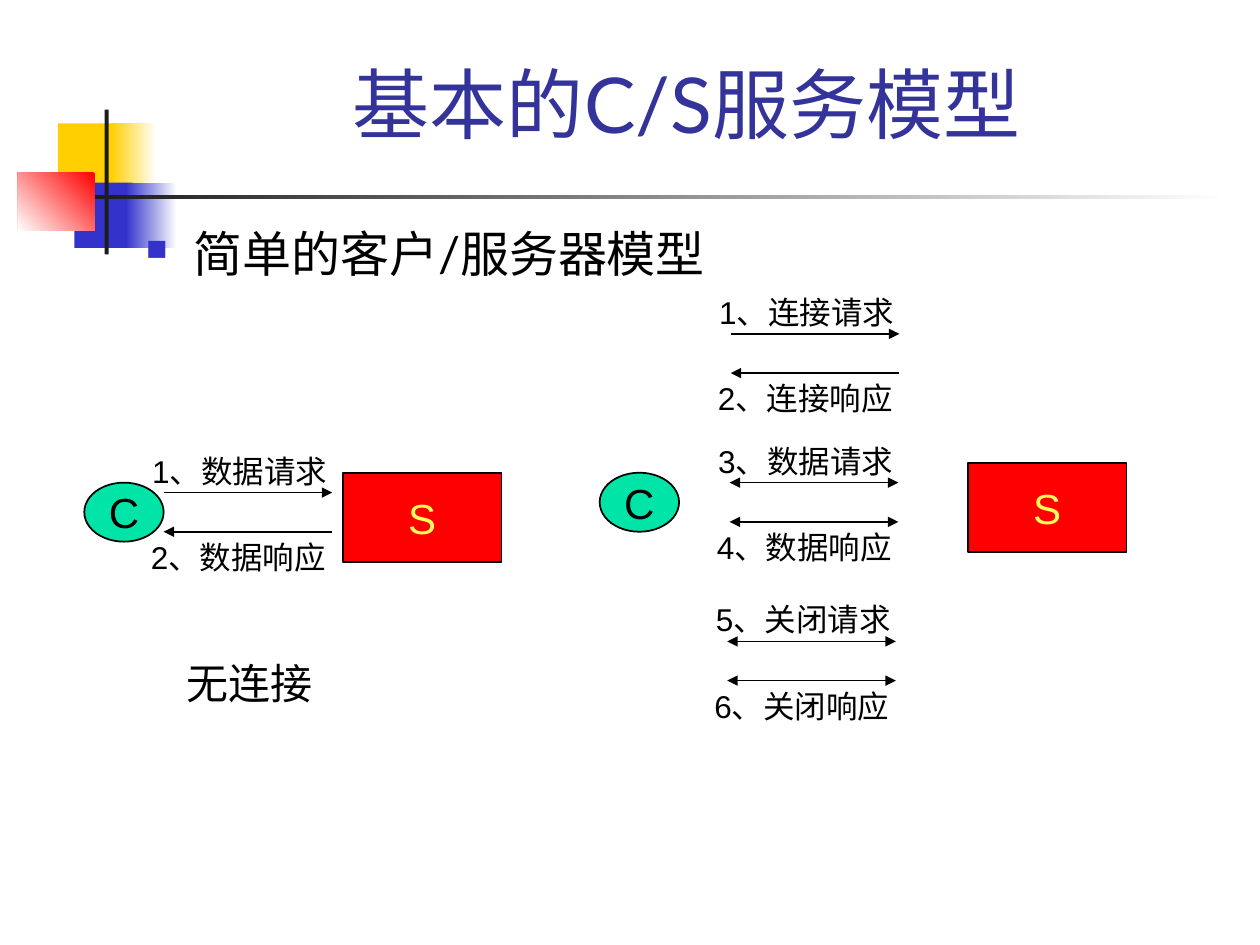
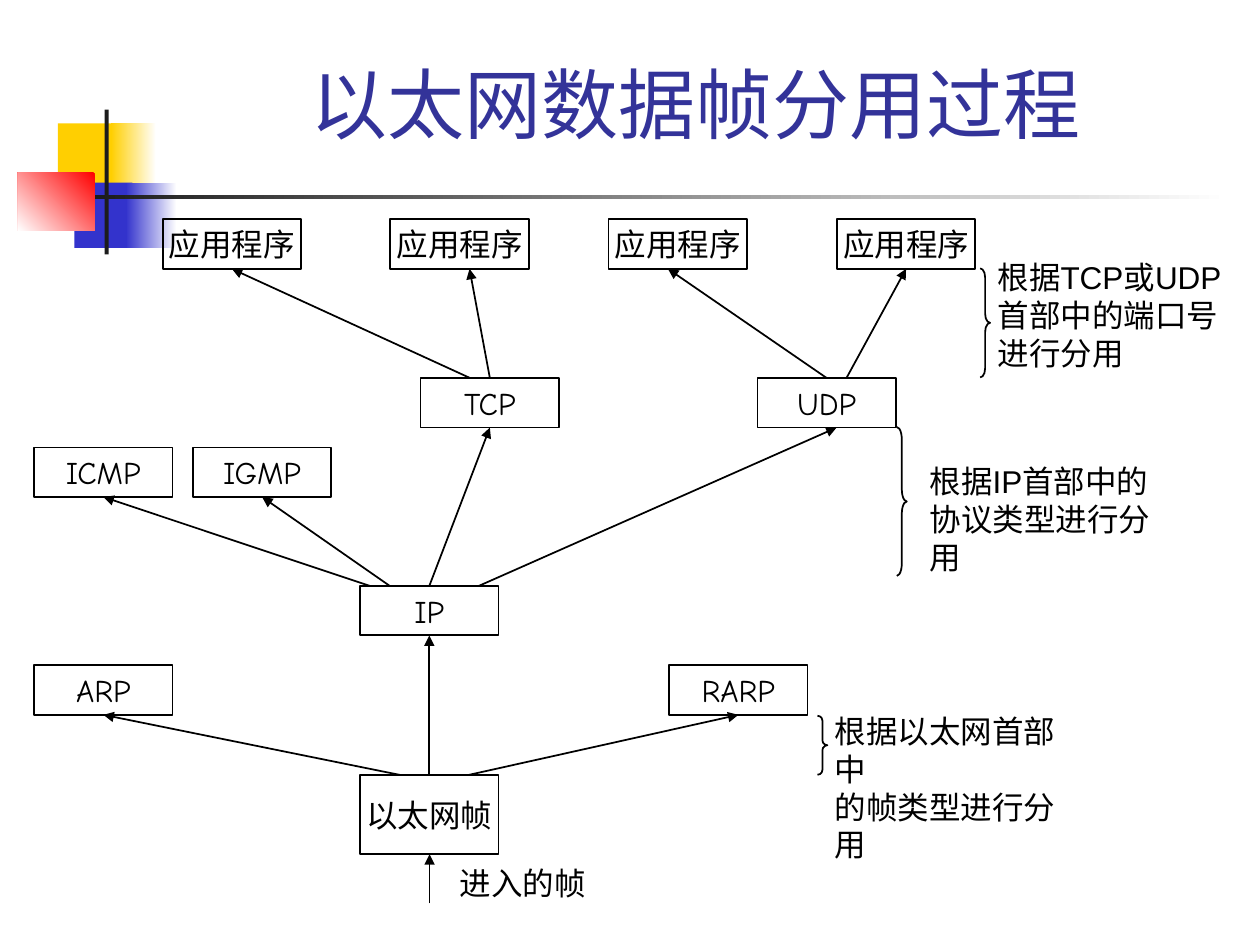
from lxml import etree
from pptx import Presentation
from pptx.dml.color import RGBColor
from pptx.enum.shapes import MSO_CONNECTOR, MSO_SHAPE
from pptx.enum.text import MSO_ANCHOR, MSO_AUTO_SIZE, PP_ALIGN
from pptx.oxml.ns import qn
from pptx.util import Cm, Pt

RECT, OVAL, BRACE = MSO_SHAPE.RECTANGLE, MSO_SHAPE.OVAL, MSO_SHAPE.RIGHT_BRACE
STRAIGHT = MSO_CONNECTOR.STRAIGHT
LEFT, CENTER = PP_ALIGN.LEFT, PP_ALIGN.CENTER
TOP, MIDDLE, BOTTOM = MSO_ANCHOR.TOP, MSO_ANCHOR.MIDDLE, MSO_ANCHOR.BOTTOM
NO_FIT, GROW = MSO_AUTO_SIZE.NONE, MSO_AUTO_SIZE.SHAPE_TO_FIT_TEXT

BLACK, WHITE, INK = "000000", "FFFFFF", "1C1C1C"
GOLD, BLUE, RED = "FFCF01", "3333CC", "FF0000"
TITLE_BLUE, MINT, LEMON = "333399", "00E4A8", "FEFF5E"
BODY_FONT, TITLE_FONT, NODE_FONT = "Arial", "Lato", "Comic Neue"
NODE_W, NODE_H = 2.79, 1.0
ARROW_W, ARROW_GAP = 3.4, 0.79


def rgb(color):
    """Turn a hex string into a colour."""
    return RGBColor.from_string(color)


def write(shape, text, size=18, font=BODY_FONT, color=BLACK, align=LEFT,
          anchor=TOP, wrap=False, fit=NO_FIT):
    """Fill a shape with formatted text, one paragraph per line."""
    tf = shape.text_frame
    tf.text = text
    tf.word_wrap, tf.auto_size, tf.vertical_anchor = wrap, fit, anchor
    for p in tf.paragraphs:
        p.alignment = align
        for r in p.runs:
            r.font.size, r.font.name = Pt(size), font
            r.font.color.rgb = rgb(color)
    return tf


def add_text(s, x, y, w, h, text, **fmt):
    """Add a text box."""
    box = s.shapes.add_textbox(Cm(x), Cm(y), Cm(w), Cm(h))
    return write(box, text, **fmt)


def add_box(s, x, y, w, h, kind=RECT, fill=None, line=BLACK):
    """Add a preset shape with a plain fill and a thin line."""
    sp = s.shapes.add_shape(kind, Cm(x), Cm(y), Cm(w), Cm(h))
    sp.shadow.inherit = False
    if fill:
        sp.fill.solid()
        sp.fill.fore_color.rgb = rgb(fill)
    else:
        sp.fill.background()
    if line:
        sp.line.color.rgb = rgb(line)
        sp.line.width = Pt(1)
    else:
        sp.line.fill.background()
    return sp


def add_fade(s, x, y, w, h, start, end, angle=180):
    """Add a borderless rectangle with a two-colour gradient."""
    sp = add_box(s, x, y, w, h, line=None)
    sp.fill.gradient()
    sp.fill.gradient_angle = angle
    for stop, color, position in zip(sp.fill.gradient_stops, (start, end), (0, 1)):
        stop.color.rgb = rgb(color)
        stop.position = position


def add_arrow(s, x1, y1, x2, y2, both=False):
    """Add a line with an arrowhead at its end, or at both ends."""
    line = s.shapes.add_connector(STRAIGHT, Cm(x1), Cm(y1), Cm(x2), Cm(y2))
    line.line.color.rgb = rgb(BLACK)
    line.line.width = Pt(1)
    sp_pr = line._element.spPr
    for tag in ("a:headEnd", "a:tailEnd") if both else ("a:tailEnd",):
        etree.SubElement(sp_pr.find(qn("a:ln")), qn(tag), type="triangle")
    etree.SubElement(sp_pr, qn("a:effectLst"))


def add_bullet(p, char, color, percent, indent):
    """Give a paragraph a coloured bullet and a hanging indent."""
    p_pr = p._p.get_or_add_pPr()
    p_pr.set("marL", str(Cm(indent)))
    p_pr.set("indent", str(-Cm(indent)))
    bu_clr = etree.SubElement(p_pr, qn("a:buClr"))
    etree.SubElement(bu_clr, qn("a:srgbClr"), val=color)
    etree.SubElement(p_pr, qn("a:buSzPct"), val=str(percent * 1000))
    etree.SubElement(p_pr, qn("a:buChar"), char=char)


def decorate(s, x, y):
    """Draw the coloured squares and the crossing rules."""
    add_box(s, x + 0.81, y + 0.28, 1.22, 1.32, fill=GOLD, line=None)
    add_fade(s, x + 1.88, y + 0.28, 0.91, 1.32, WHITE, GOLD)
    add_box(s, x + 1.14, y + 1.47, 1.17, 1.32, fill=BLUE, line=None)
    add_fade(s, x + 2.18, y + 1.47, 1.02, 1.32, WHITE, BLUE)
    add_fade(s, x, y + 1.27, 1.55, 1.17, RED, WHITE, angle=225)
    add_box(s, x + 1.75, y, 0.08, 2.92, fill=INK, line=None)
    add_fade(s, x + 1.55, y + 1.73, 22.86, 0.08, WHITE, INK)


def new_slide(prs, title):
    """Add a decorated slide with its title."""
    s = prs.slides.add_slide(prs.slide_layouts[5])
    decorate(s, 0.36, 2.21)
    sp = s.shapes.title
    sp.left, sp.top, sp.width, sp.height = Cm(3.2), Cm(0.58), Cm(21.64), Cm(2.54)
    write(sp, title, size=44, font=TITLE_FONT, color=TITLE_BLUE, align=CENTER,
          anchor=BOTTOM, wrap=True)
    return s


def add_exchange(s, x, y, request, response, both=False):
    """Draw a request arrow above a response arrow, with labels."""
    add_arrow(s, x, y, x + ARROW_W, y, both)
    add_arrow(s, x + ARROW_W, y + ARROW_GAP, x, y + ARROW_GAP, both)
    add_text(s, x - 0.48, y - 0.95, 4.19, 1.02, request, fit=GROW)
    add_text(s, x - 0.51, y + ARROW_GAP, 4.19, 1.02, response, fit=GROW)


def add_model(s, x, y, server_dx, exchanges):
    """Draw a client, a server and the exchanges between them."""
    client = add_box(s, x, y, 1.6, 1.19, OVAL, MINT)
    server = add_box(s, x + server_dx, y - 0.2, 3.2, 1.8, fill=RED)
    for sp, name, color in ((client, "C", BLACK), (server, "S", LEMON)):
        write(sp, name, size=24, color=color, align=CENTER, anchor=MIDDLE)
    for dx, dy, *exchange in exchanges:
        add_exchange(s, x + dx, y + dy, *exchange)


def build_client_server(prs):
    """Build the client/server slide."""
    s = new_slide(prs, "基本的C/S服务模型 ")
    tf = add_text(s, 2.69, 4.52, 21.59, 1.57, "简单的客户/服务器模型",
                  size=28, font=TITLE_FONT, wrap=True)
    p = tf.paragraphs[0]
    p.line_spacing, p.space_before = 0.9, Pt(7)
    add_bullet(p, "■", BLUE, 60, 0.96)
    add_model(s, 1.7, 9.73, 5.21, [(1.6, 0.2, "1、数据请求", "2、数据响应")])
    add_text(s, 3.51, 13.13, 3.05, 1.27, "无连接", size=24, fit=GROW)
    add_model(s, 12.09, 9.53, 7.42, [
        (2.64, -2.8, "1、连接请求", "2、连接响应"),
        (2.62, 0.2, "3、数据请求", "4、数据响应", True),
        (2.57, 3.4, "5、关闭请求", "6、关闭响应", True),
    ])


def add_tree(s, nodes, links):
    """Draw named nodes, then arrows from node tops to node bottoms."""
    for x, y, h, text in nodes.values():
        write(add_box(s, x, y, NODE_W, h), text, font=NODE_FONT,
              align=CENTER, anchor=MIDDLE)
    for start, end, start_dx, end_dx in links:
        x1, y1, _, _ = nodes[start]
        x2, y2, h, _ = nodes[end]
        add_arrow(s, x1 + NODE_W / 2 + start_dx, y1,
                  x2 + NODE_W / 2 + end_dx, y2 + h)


def add_brace_note(s, x, y, h, note_dx, note_dy, lines):
    """Draw a right brace and the note beside it."""
    w = 0.2
    brace = add_box(s, x, y, w, h, BRACE)
    brace.adjustments[0] = h / w / 12
    add_text(s, x + note_dx, y + note_dy, 5.49, 0.25 + 0.76 * len(lines),
             "\n".join(lines), fit=GROW)


def build_demultiplexing(prs):
    """Build the Ethernet frame demultiplexing slide."""
    s = new_slide(prs, "以太网数据帧分用过程")
    nodes = {"frame": (7.26, 15.62, 1.6, "以太网帧")}
    rows = [
        (13.41, {"ARP": 0.69, "RARP": 13.49}),
        (11.81, {"IP": 7.26}),
        (9.02, {"ICMP": 0.69, "IGMP": 3.89}),
        (7.62, {"TCP": 8.48, "UDP": 15.27}),
    ]
    for y, row in rows:
        for name, x in row.items():
            nodes[name] = (x, y, NODE_H, name)
    for i, x in enumerate((3.28, 7.87, 12.27, 16.87), 1):
        nodes[f"app{i}"] = (x, 4.42, NODE_H, "应用程序")
    add_tree(s, nodes, [
        ("frame", "IP", 0, 0), ("frame", "ARP", -0.6, 0), ("frame", "RARP", 0.8, 0),
        ("IP", "ICMP", -1.2, 0), ("IP", "IGMP", -0.8, 0),
        ("IP", "TCP", 0, 0), ("IP", "UDP", 1, 0.2),
        ("TCP", "app1", -0.4, 0), ("TCP", "app2", 0, 0.2),
        ("UDP", "app3", 0, -0.2), ("UDP", "app4", 0.4, 0),
    ])
    add_arrow(s, 8.66, 18.21, 8.66, 17.22)
    add_text(s, 9.02, 17.3, 3.05, 1.02, "进入的帧", fit=GROW)
    add_brace_note(s, 16.48, 14.43, 1.19, 0.1, -0.2,
                   ["根据以太网首部中", "的帧类型进行分用"])
    add_brace_note(s, 18.08, 8.61, 3, 0.41, 0.58,
                   ["根据IP首部中的", "协议类型进行分用"])
    add_brace_note(s, 19.76, 5.41, 2.2, 0.1, -0.33,
                   ["根据TCP或UDP", "首部中的端口号", "进行分用"])


def main():
    """Build and save the presentation."""
    prs = Presentation()
    prs.slide_width, prs.slide_height = Cm(25.4), Cm(19.05)
    build_client_server(prs)
    build_demultiplexing(prs)
    prs.save("out.pptx")


if __name__ == "__main__":
    main()
